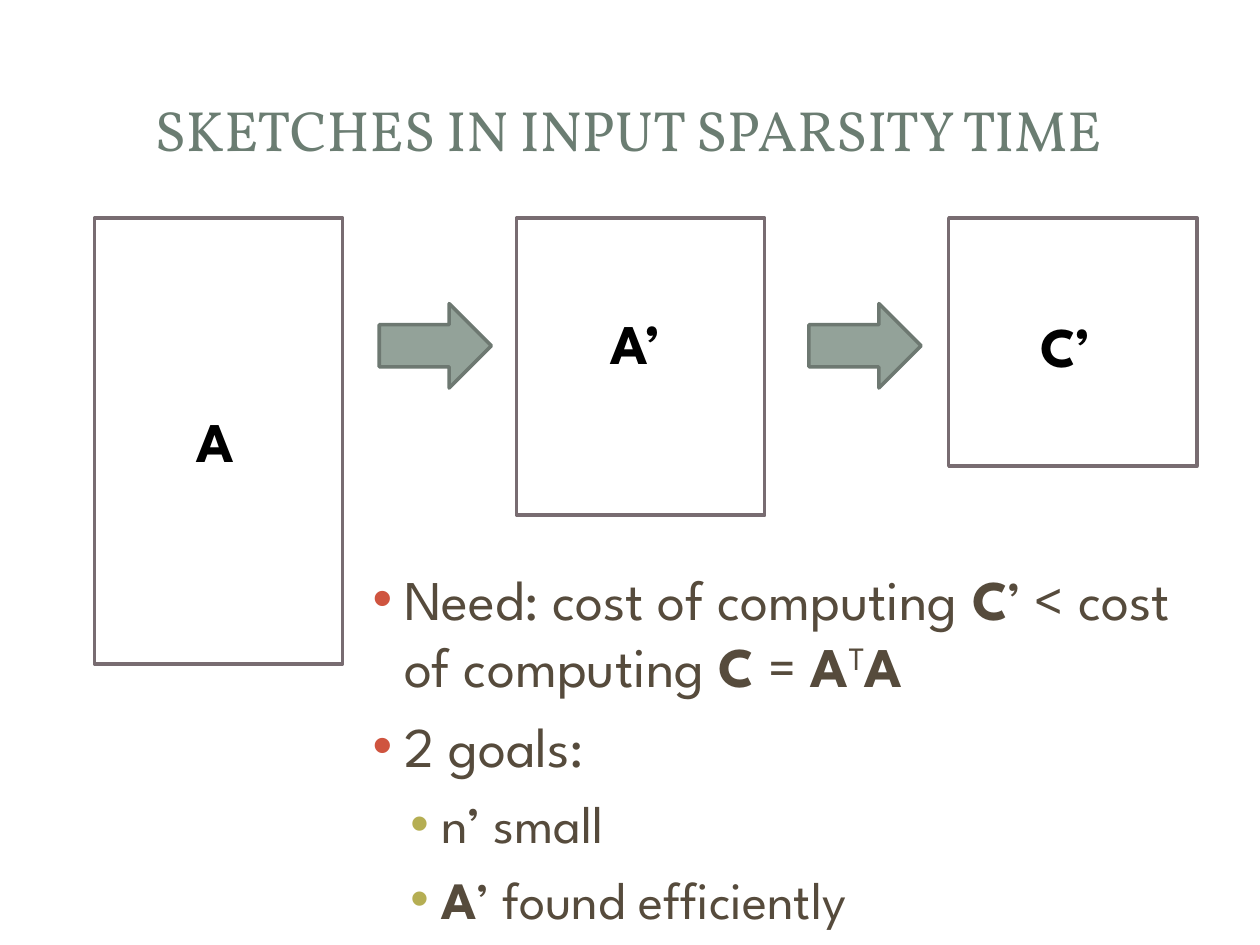
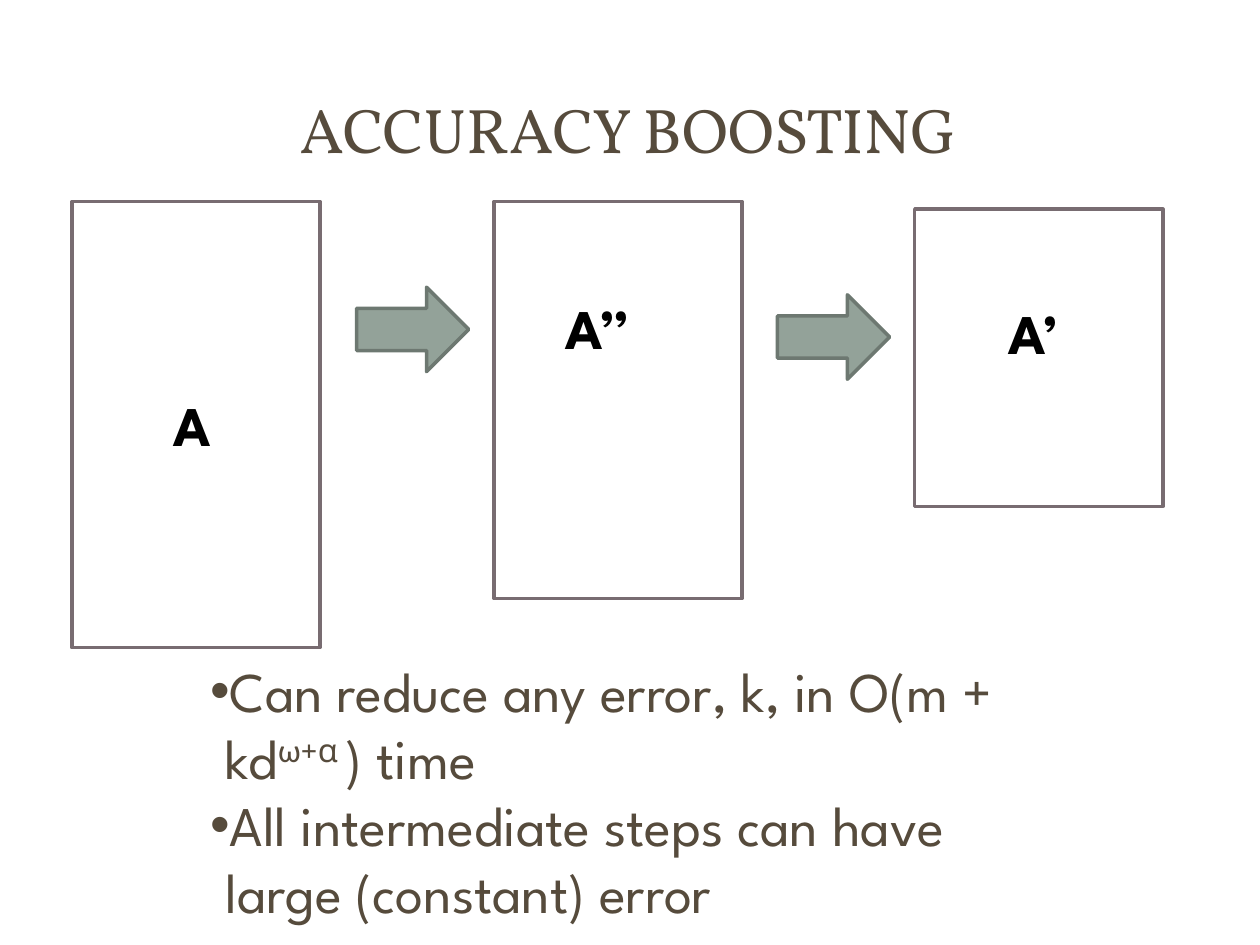
from dataclasses import dataclass

from lxml import etree
from pptx import Presentation
from pptx import util as u
from pptx.dml.color import RGBColor
from pptx.enum import shapes, text
from pptx.oxml.ns import qn

EMU_PER_PX = 9144  # 100 px to the inch


@dataclass(frozen=True)
class Theme:
    title_font: str = "Vollkorn"
    body_font: str = "League Spartan"
    greek_font: str = "Calibri"
    sage: str = "6B7D72"
    brown: str = "564B3C"
    black: str = "000000"
    matrix_line: str = "786C71"
    arrow_fill: str = "93A299"
    arrow_line: str = "6D7871"
    red_bullet: str = "CF543F"
    olive_bullet: str = "B5AE53"
    body_size: float = 32
    goal_size: float = 30
    line_width: float = 2


THEME = Theme()


@dataclass(frozen=True)
class Box:
    left: int
    top: int
    width: int
    height: int

    def emu(self) -> list[u.Emu]:
        return [px(n) for n in (self.left, self.top, self.width, self.height)]


@dataclass(frozen=True)
class Matrix:
    name: str
    left: int
    top: int
    height: int
    label: Box


@dataclass(frozen=True)
class Span:
    words: str
    bold: bool = False
    raised: bool = False
    font: str = THEME.body_font


@dataclass(frozen=True)
class BulletStyle:
    margin: int
    hanging: int
    color: str
    size: float = THEME.body_size
    space_before: float = 0


@dataclass(frozen=True)
class Point:
    style: BulletStyle
    spans: tuple[Span, ...]


@dataclass(frozen=True)
class Reduction:
    title: str
    title_size: float
    title_color: str
    matrices: tuple[Matrix, ...]
    arrows: tuple[tuple[int, int], ...]
    points_box: Box
    points: tuple[Point, ...]


# Shared measures
TITLE_BOX = Box(47, 45, 903, 114)
MATRIX_WIDTH = 197
ARROW_WIDTH, ARROW_HEIGHT = 89, 67

MAIN = BulletStyle(70, 25, THEME.red_bullet, space_before=7.5)
GOAL = BulletStyle(100, 25, THEME.olive_bullet, THEME.goal_size, 7)
PLAIN = BulletStyle(12, 50, THEME.brown)

# Content
SLIDES = (
    Reduction(
        "SKETCHES IN INPUT SPARSITY TIME", 32.4, THEME.sage,
        matrices=(
            Matrix("A", 75, 173, 354, Box(146, 318, 54, 64)),
            Matrix("A’", 410, 173, 236, Box(475, 240, 67, 64)),
            Matrix("C’", 753, 173, 197, Box(816, 242, 69, 64)),
        ),
        arrows=((301, 241), (642, 241)),
        points_box=Box(241, 443, 733, 300),
        points=(
            Point(MAIN, (
                Span("Need: cost of computing "), Span("C", bold=True),
                Span("’ < cost of computing "), Span("C", bold=True),
                Span(" = "), Span("A", bold=True),
                Span("T", raised=True), Span("A", bold=True),
            )),
            Point(MAIN, (Span("2 goals:"),)),
            Point(GOAL, (Span("n’ small"),)),
            Point(GOAL, (Span("A", bold=True), Span("’ found efficiently"))),
        ),
    ),
    Reduction(
        "ACCURACY BOOSTING", 36, THEME.brown,
        matrices=(
            Matrix("A", 57, 160, 354, Box(128, 305, 54, 64)),
            Matrix("A’’", 392, 160, 315, Box(439, 228, 95, 64)),
            Matrix("A’", 726, 166, 236, Box(791, 232, 67, 64)),
        ),
        arrows=((283, 228), (617, 234)),
        points_box=Box(157, 516, 660, 230),
        points=(
            Point(PLAIN, (
                Span("Can reduce any error, k, in O(m + kd"),
                Span("ω", raised=True, font=THEME.greek_font),
                Span("+α ", raised=True), Span(") time"),
            )),
            Point(PLAIN, (
                Span("All intermediate steps can have large (constant) error"),
            )),
        ),
    ),
)


def px(length: int) -> u.Emu:
    return u.Emu(length * EMU_PER_PX)


def rgb(color: str) -> RGBColor:
    return RGBColor.from_string(color)


def style_font(font, name: str, size: float, color: str, bold: bool = False) -> None:
    font.name = name
    font.size = u.Pt(size)
    font.bold = bold
    font.color.rgb = rgb(color)


def add_frame(slide, box: Box):
    frame = slide.shapes.add_textbox(*box.emu()).text_frame
    frame.word_wrap = True
    return frame


def add_outline(slide, kind, box: Box, line: str, fill: str | None = None) -> None:
    outline = slide.shapes.add_shape(kind, *box.emu())
    outline.shadow.inherit = False
    outline.line.color.rgb = rgb(line)
    outline.line.width = u.Pt(THEME.line_width)
    if fill is None:
        outline.fill.background()
    else:
        outline.fill.solid()
        outline.fill.fore_color.rgb = rgb(fill)


def add_title(slide, content: Reduction) -> None:
    frame = add_frame(slide, TITLE_BOX)
    frame.vertical_anchor = text.MSO_ANCHOR.MIDDLE
    frame.text = content.title
    heading = frame.paragraphs[0]
    heading.alignment = text.PP_ALIGN.CENTER
    style_font(heading.runs[0].font, THEME.title_font,
               content.title_size, content.title_color)


def add_matrix(slide, matrix: Matrix) -> None:
    box = Box(matrix.left, matrix.top, MATRIX_WIDTH, matrix.height)
    add_outline(slide, shapes.MSO_SHAPE.RECTANGLE, box, THEME.matrix_line)
    frame = add_frame(slide, matrix.label)
    frame.text = matrix.name
    style_font(frame.paragraphs[0].runs[0].font, THEME.body_font,
               THEME.body_size, THEME.black, bold=True)


def add_bullet(paragraph, style: BulletStyle) -> None:
    properties = paragraph._p.get_or_add_pPr()
    properties.set("marL", str(px(style.margin)))
    properties.set("indent", str(-px(style.hanging)))
    color = etree.SubElement(properties, qn("a:buClr"))
    etree.SubElement(color, qn("a:srgbClr"), val=style.color)
    etree.SubElement(properties, qn("a:buFont"), typeface="Arial")
    etree.SubElement(properties, qn("a:buChar"), char="•")


def add_points(slide, box: Box, points: tuple[Point, ...]) -> None:
    frame = add_frame(slide, box)
    for index, point in enumerate(points):
        paragraph = frame.add_paragraph() if index else frame.paragraphs[0]
        add_bullet(paragraph, point.style)
        if index:
            paragraph.space_before = u.Pt(point.style.space_before)
        for span in point.spans:
            run = paragraph.add_run()
            run.text = span.words
            style_font(run.font, span.font, point.style.size,
                       THEME.brown, span.bold)
            if span.raised:
                run._r.get_or_add_rPr().set("baseline", "30000")


def add_reduction(deck, content: Reduction) -> None:
    slide = deck.slides.add_slide(deck.slide_layouts[6])
    add_title(slide, content)
    add_points(slide, content.points_box, content.points)
    for matrix in content.matrices:
        add_matrix(slide, matrix)
    for left, top in content.arrows:
        add_outline(slide, shapes.MSO_SHAPE.RIGHT_ARROW,
                    Box(left, top, ARROW_WIDTH, ARROW_HEIGHT),
                    THEME.arrow_line, THEME.arrow_fill)


def main() -> None:
    deck = Presentation()
    deck.slide_width, deck.slide_height = px(1000), px(750)
    for content in SLIDES:
        add_reduction(deck, content)
    deck.save("out.pptx")


if __name__ == "__main__":
    main()
